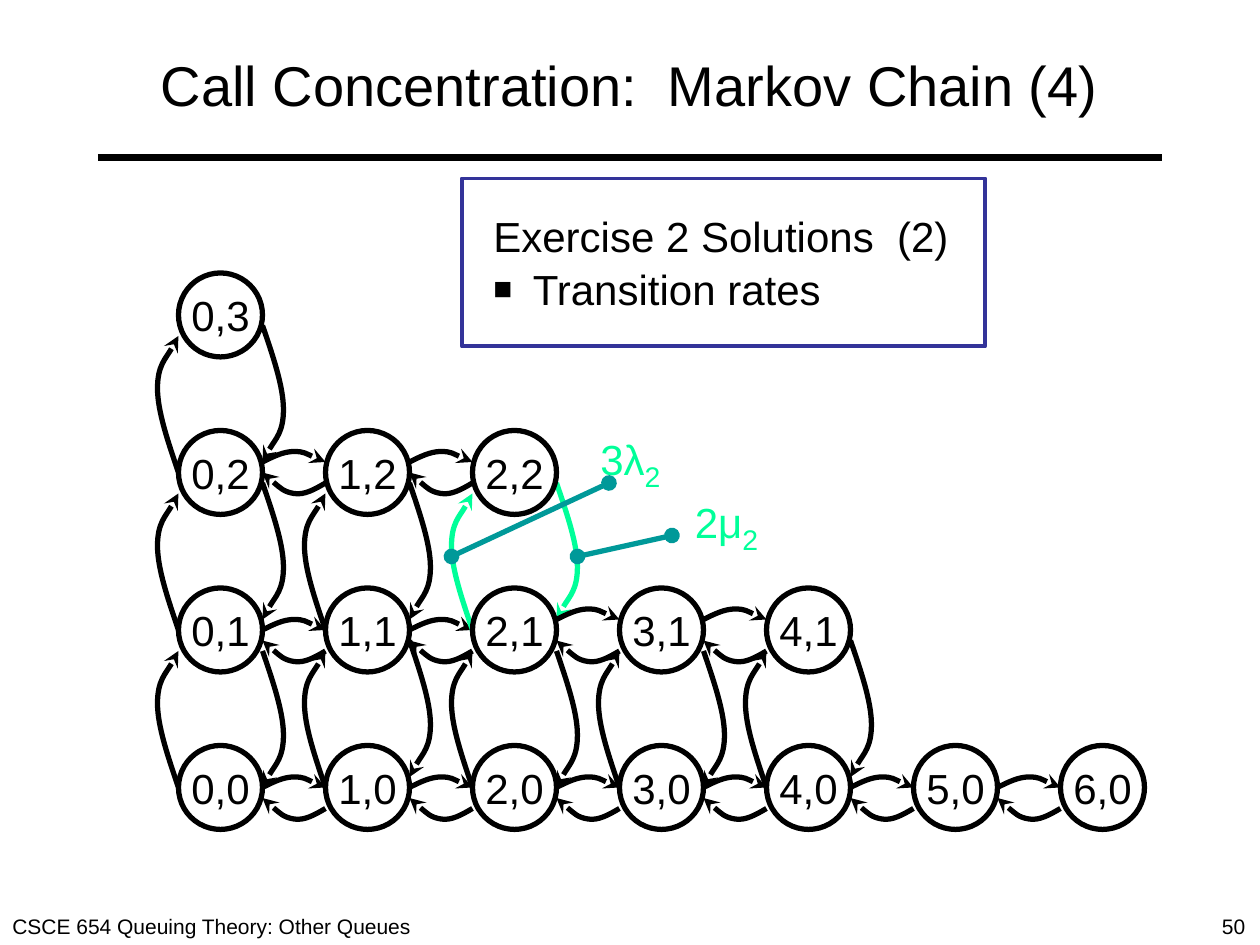
import pptx
import pptx.dml.color
import pptx.enum.shapes
import pptx.enum.text
import pptx.oxml
import pptx.oxml.ns
import pptx.util

Pt = pptx.util.Pt
qn = pptx.oxml.ns.qn
ALIGN = pptx.enum.text.PP_ALIGN
ANCHOR = pptx.enum.text.MSO_ANCHOR
SHAPE = pptx.enum.shapes.MSO_SHAPE
BLACK, GREEN, TEAL, BLUE = "000000", "00FF99", "009999", "333399"


def color(hex_string):
    return pptx.dml.color.RGBColor.from_string(hex_string)


def write_text(shape, text, size=24, ink=BLACK, align=ALIGN.LEFT, anchor=ANCHOR.TOP,
               wrap=False, insets=(7.2, 3.6), subscript=""):
    frame = shape.text_frame
    frame.word_wrap = wrap
    frame.vertical_anchor = anchor
    frame.margin_left = frame.margin_right = Pt(insets[0])
    frame.margin_top = frame.margin_bottom = Pt(insets[1])
    frame.text = text
    for paragraph in frame.paragraphs:
        paragraph.alignment = align
        if subscript:
            paragraph.add_run().text = subscript
        for run in paragraph.runs:
            run.font.name = "Arial"
            run.font.size = Pt(size)
            run.font.color.rgb = color(ink)
        if subscript:
            run.font.size = Pt(28)
            run.font._element.set("baseline", "-25000")


presentation = pptx.Presentation()
presentation.slide_width, presentation.slide_height = Pt(720), Pt(540)
slide = presentation.slides.add_slide(presentation.slide_layouts[6])
shapes = slide.shapes

# Title, footer, slide number and rate labels
for box, text, style in [
    ((36, 12, 648, 72), "Call Concentration:  Markov Chain (4)",
     dict(size=32, align=ALIGN.CENTER, anchor=ANCHOR.MIDDLE, wrap=True)),
    ((0, 518.4, 294, 21.6), "CSCE 654 Queuing Theory: Other Queues", dict(size=12, wrap=True)),
    ((691.2, 518.4, 28.8, 21.6), "50", dict(size=12)),
    ((336, 240, 52, 36), "3λ", dict(ink=GREEN, subscript="2")),
    ((390, 276, 52.5, 36), "2μ", dict(ink=GREEN, subscript="2")),
]:
    write_text(shapes.add_textbox(*map(Pt, box)), text, **style)

# States (i, j): i counts along a row, j counts rows from the bottom
ROW_LENGTHS = [7, 5, 3, 1]
DIAMETER, COLUMN_STEP, ROW_STEP = 48, 84, 90
states = {(i, j): (102 + COLUMN_STEP * i, 426 - ROW_STEP * j)
          for j, length in enumerate(ROW_LENGTHS) for i in range(length)}

# Transition curves: start, then two cubic segments, relative to the start
UP = [(0, 0), (-6, -17.5), (-12, -35), (-12, -48), (-12, -61), (-2, -72.5), (0, -78)]
DOWN = [(-x, -y) for x, y in UP]
RIGHT = [(0, 0), (6, -3), (12, -6), (18, -6), (24, -6), (33, -1), (36, 0)]
LEFT = [(0, 0), (-6, 3.5), (-12, 7), (-18, 6), (-24, 5), (-30, -0.5), (-36, -6)]
LOW_DOWN_STARTS = {(0, 1), (2, 1), (3, 1)}
HIGH_RIGHT_STARTS = {(2, 1), (3, 1), (0, 2), (1, 2)}

transitions = []
for (i, j), (x, y) in states.items():
    if (i, j + 1) in states:
        ink = GREEN if (i, j) == (2, 1) else BLACK
        down_start = 36 if (i, j + 1) in LOW_DOWN_STARTS else 30
        transitions.append((UP, x, y + 24, ink))
        transitions.append((DOWN, x + DIAMETER, y - ROW_STEP + down_start, ink))
    if (i + 1, j) in states:
        right_start = 18 if (i, j) in HIGH_RIGHT_STARTS else 24
        transitions.append((RIGHT, x + DIAMETER, y + right_start, BLACK))
        transitions.append((LEFT, x + COLUMN_STEP, y + (30 if j == 2 else 36), BLACK))

for curve, x, y, ink in transitions:
    points = [(Pt(x + dx), Pt(y + dy)) for dx, dy in curve]
    builder = shapes.build_freeform(*points[0])
    builder.add_line_segments(points[1:], close=False)
    arrow = builder.convert_to_shape()
    # Turn each three line segments into one cubic segment
    segments = arrow._element.xpath(".//a:lnTo")
    for first, second, third in (segments[:3], segments[3:]):
        first.tag = qn("a:cubicBezTo")
        for extra in (second, third):
            first.append(extra[0])
            extra.getparent().remove(extra)
    arrow.shadow.inherit = False
    arrow.fill.background()
    arrow.line.color.rgb = color(ink)
    arrow.line.width = Pt(3)
    pptx.oxml.ns  # namespace helpers serve the arrowhead below
    arrow.line._get_or_add_ln().append(arrow._element.makeelement(qn("a:tailEnd"), {"type": "stealth"}))

# State circles
for (i, j), (x, y) in states.items():
    circle = shapes.add_shape(SHAPE.OVAL, Pt(x), Pt(y), Pt(DIAMETER), Pt(DIAMETER))
    circle.shadow.inherit = False
    circle.fill.background()
    circle.line.color.rgb = color(BLACK)
    circle.line.width = Pt(3)
    write_text(circle, f"{i},{j}", align=ALIGN.CENTER, anchor=ANCHOR.MIDDLE, insets=(0, 0))

# Exercise box with one bulleted line
exercise = shapes.add_shape(SHAPE.RECTANGLE, Pt(264), Pt(102), Pt(299), Pt(96))
exercise.shadow.inherit = False
exercise.fill.background()
exercise.line.color.rgb = color(BLUE)
exercise.line.width = Pt(2.25)
write_text(exercise, "Exercise 2 Solutions  (2)\nTransition rates", anchor=ANCHOR.MIDDLE, insets=(18, 18))
bullet_line = exercise.text_frame.paragraphs[1]
bullet_line.space_before = Pt(1.5)
properties = bullet_line._element.get_or_add_pPr()
properties.set("marL", str(Pt(22.5)))
properties.set("indent", str(-Pt(22.5)))
for tag, attributes in [("a:buSzPct", {"val": "75000"}), ("a:buFont", {"typeface": "Arial"}),
                        ("a:buChar", {"char": "■"})]:
    properties.append(properties.makeelement(qn(tag), attributes))

# Title rule and the two callout lines
for start, end, ink, width, ends in [
    ((56, 90), (664, 90), BLACK, 4.5, None),
    ((348, 276), (258, 318), TEAL, 3, "oval"),
    ((384, 306), (330, 318), TEAL, 3, "oval"),
]:
    line = shapes.add_connector(pptx.enum.shapes.MSO_CONNECTOR.STRAIGHT, *map(Pt, start + end))
    line.line.color.rgb = color(ink)
    line.line.width = Pt(width)
    if ends:
        for tag in ("a:headEnd", "a:tailEnd"):
            outline = line.line._get_or_add_ln()
            outline.append(outline.makeelement(qn(tag), {"type": ends}))
    line_properties = line._element.spPr
    line_properties.append(line_properties.makeelement(qn("a:effectLst"), {}))

presentation.save("out.pptx")
